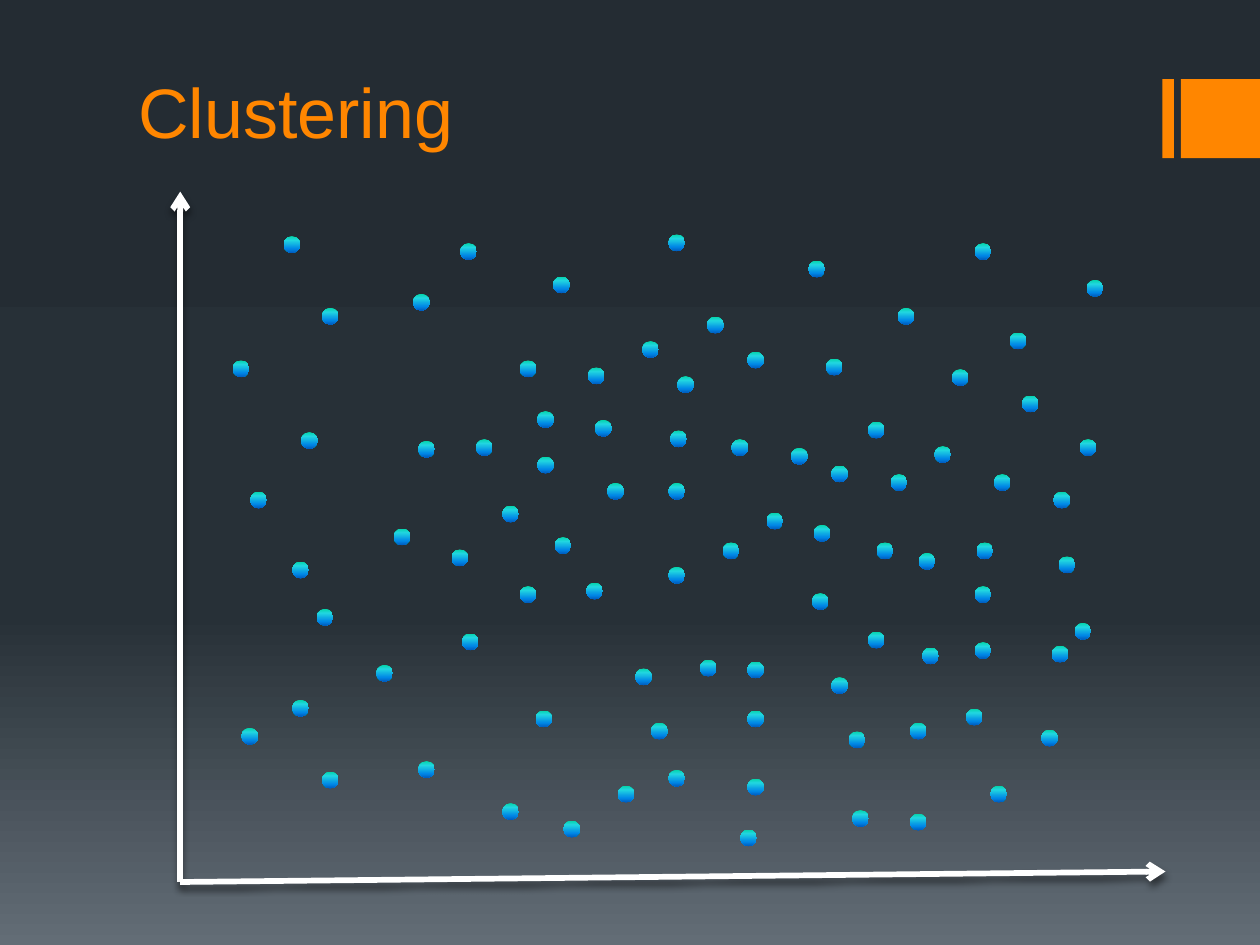
from lxml import etree
from pptx import Presentation
from pptx.dml.color import RGBColor
from pptx.enum.shapes import MSO_CONNECTOR, MSO_SHAPE
from pptx.enum.text import MSO_ANCHOR
from pptx.oxml.ns import qn
from pptx.util import Pt

RECT, OVAL = MSO_SHAPE.RECTANGLE, MSO_SHAPE.OVAL
LINE, BOTTOM = MSO_CONNECTOR.STRAIGHT, MSO_ANCHOR.BOTTOM

ORANGE = RGBColor(0xFF, 0x86, 0x00)
WHITE = RGBColor(0xFF, 0xFF, 0xFF)
BLACK = RGBColor(0x00, 0x00, 0x00)

# Gradient stops: percent and colour, top to bottom
NIGHT = [
    (0, RGBColor(0x24, 0x2C, 0x33)),
    (65, RGBColor(0x27, 0x30, 0x37)),
    (100, RGBColor(0x63, 0x6D, 0x76)),
]
OCEAN = [
    (0, RGBColor(0x03, 0xD4, 0xA8)),
    (25, RGBColor(0x21, 0xD6, 0xE0)),
    (75, RGBColor(0x00, 0x87, 0xE6)),
    (100, RGBColor(0x00, 0x5C, 0xBF)),
]

# Data points: left and top of each dot, in points
DOT = 9.5
DOTS = [
    (167, 400), (239, 435), (181, 348), (306, 406), (172, 247), (236, 168),
    (316, 158), (544, 211), (462, 149), (614, 356), (566, 449), (382, 440),
    (427, 445), (617, 251), (520, 465), (602, 281), (601, 369), (584, 226),
    (513, 176), (621, 160), (577, 190), (557, 139), (382, 134), (263, 139),
    (184, 176), (143, 281), (133, 206), (162, 135), (167, 321), (138, 416),
    (400, 377), (353, 449), (423, 474), (427, 406), (287, 459), (363, 382),
    (322, 469), (372, 413), (427, 378), (487, 463), (595, 417), (605, 318),
    (413, 310), (184, 441), (383, 246), (340, 240), (317, 307), (264, 362),
    (215, 380), (225, 302), (258, 314), (272, 251), (347, 276), (335, 333),
    (382, 324), (367, 195), (297, 206), (404, 181), (418, 251), (427, 201),
    (472, 205), (452, 256), (438, 293), (496, 241), (534, 255), (568, 271),
    (558, 310), (475, 266), (509, 271), (465, 300), (464, 339), (496, 361),
    (501, 310), (525, 316), (557, 335), (557, 367), (552, 405), (520, 413),
    (527, 370), (485, 418), (475, 387), (382, 276), (307, 235), (336, 210),
    (387, 215), (307, 261), (239, 252), (287, 289), (297, 335),
]


def add_tag(parent, tag, **attrs):
    return etree.SubElement(parent, qn(tag), attrs)


def add_rgb(parent, rgb):
    return add_tag(parent, "a:srgbClr", val=str(rgb))


def set_grad(fill, root, stops):
    """Fill from top to bottom; root is the element that holds the fill."""
    fill.gradient()
    fill.gradient_angle = 270
    group = next(root.iter(qn("a:gsLst")))
    for stop in list(group):
        group.remove(stop)
    for place, rgb in stops:
        add_rgb(add_tag(group, "a:gs", pos=str(place * 1000)), rgb)


def add_shape(slide, kind, left, top, width, height):
    shape = slide.shapes.add_shape(
        kind, Pt(left), Pt(top), Pt(width), Pt(height))
    shape.shadow.inherit = False
    shape.line.fill.background()
    return shape


def add_bar(slide, left, width):
    bar = add_shape(slide, RECT, left, 45.2, width, 45.2)
    bar.fill.solid()
    bar.fill.fore_color.rgb = ORANGE


def add_dot(slide, left, top):
    dot = add_shape(slide, OVAL, left, top, DOT, DOT)
    set_grad(dot.fill, dot._element, OCEAN)


def add_title(slide, text):
    box = slide.shapes.add_textbox(Pt(72), Pt(0), Pt(576), Pt(90.7))
    frame = box.text_frame
    frame.word_wrap = True
    frame.vertical_anchor = BOTTOM
    frame.text = text
    font = frame.paragraphs[0].runs[0].font
    font.name, font.size = "Arial", Pt(40)
    font.color.rgb = ORANGE


def add_axis(slide, start, end):
    axis = slide.shapes.add_connector(LINE, *map(Pt, start + end))
    axis.line.color.rgb = WHITE
    axis.line.width = Pt(3.25)
    add_tag(axis.line._get_or_add_ln(), "a:tailEnd", type="arrow")
    # Soft shadow straight below
    effect = add_tag(axis._element.spPr, "a:effectLst")
    shadow = add_tag(effect, "a:outerShdw", blurRad=str(Pt(3.8)),
                     dist=str(Pt(3)), dir="5400000", rotWithShape="0")
    add_tag(add_rgb(shadow, BLACK), "a:alpha", val="48000")


def main():
    prs = Presentation()
    prs.slide_width, prs.slide_height = Pt(720), Pt(540)
    slide = prs.slides.add_slide(prs.slide_layouts[6])
    set_grad(slide.background.fill, slide._element, NIGHT)

    # Heading and side bars
    add_bar(slide, 664.2, 6.6)
    add_bar(slide, 674.8, 45.2)
    add_title(slide, "Clustering")

    # Axes from a shared corner
    corner = (103, 504)
    add_axis(slide, corner, (103, 109.5))
    add_axis(slide, corner, (666, 498))

    # Scatter of data points
    for left, top in DOTS:
        add_dot(slide, left, top)

    prs.save("out.pptx")


if __name__ == "__main__":
    main()
